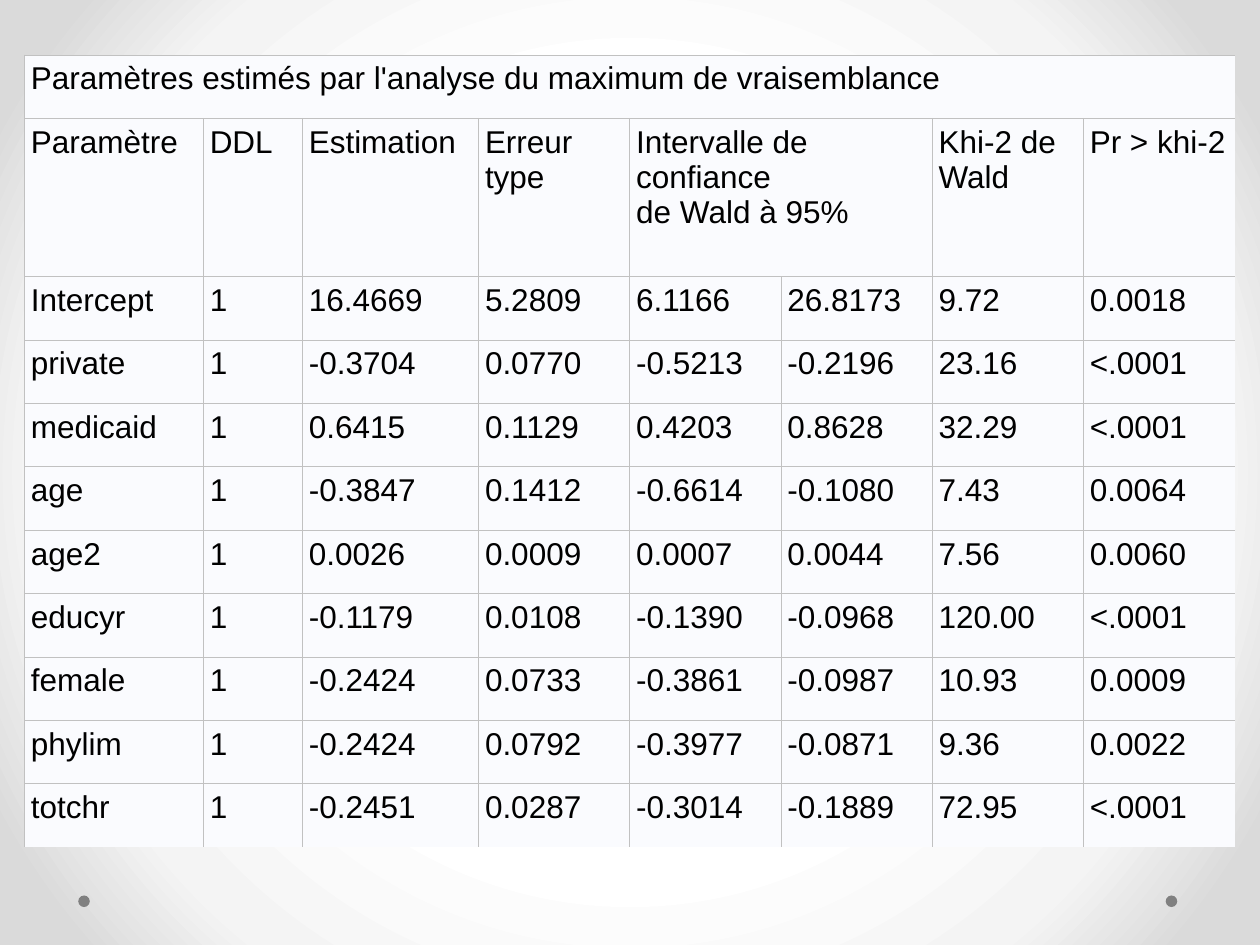
from pptx import Presentation
from pptx.dml.color import RGBColor
from pptx.enum.shapes import MSO_SHAPE
from pptx.oxml import parse_xml
from pptx.oxml.ns import nsdecls, qn
from pptx.util import Pt

COLORS = {
    "text": "000000", "cell": "FAFBFE", "line": "C1C1C1", "dot": "808080",
    "white": "FFFFFF", "pale": "F4F4F4", "edge": "DADADA",
}

TITLE = "Paramètres estimés par l'analyse du maximum de vraisemblance"
HEADS = ["Paramètre", "DDL", "Estimation", "Erreur\ntype",
         "Intervalle de confiance\nde Wald à 95%", "",
         "Khi-2 de Wald", "Pr > khi-2"]
ROWS = [
    ["Intercept", "1", "16.4669", "5.2809", "6.1166", "26.8173", "9.72", "0.0018"],
    ["private", "1", "-0.3704", "0.0770", "-0.5213", "-0.2196", "23.16", "<.0001"],
    ["medicaid", "1", "0.6415", "0.1129", "0.4203", "0.8628", "32.29", "<.0001"],
    ["age", "1", "-0.3847", "0.1412", "-0.6614", "-0.1080", "7.43", "0.0064"],
    ["age2", "1", "0.0026", "0.0009", "0.0007", "0.0044", "7.56", "0.0060"],
    ["educyr", "1", "-0.1179", "0.0108", "-0.1390", "-0.0968", "120.00", "<.0001"],
    ["female", "1", "-0.2424", "0.0733", "-0.3861", "-0.0987", "10.93", "0.0009"],
    ["phylim", "1", "-0.2424", "0.0792", "-0.3977", "-0.0871", "9.36", "0.0022"],
    ["totchr", "1", "-0.2451", "0.0287", "-0.3014", "-0.1889", "72.95", "<.0001"],
]
WIDTHS = [102.2, 56.6, 100.7] + [86.4] * 5
HEIGHTS = [36.25, 90.4] + [36.25] * len(ROWS)


def color(name):
    return RGBColor.from_string(COLORS[name])


def put_text(frame, text, size=18, font="Arial", tint="text"):
    para = frame.paragraphs[0]
    para.text = text
    for run in para.runs:
        run.font.size = Pt(size)
        run.font.name = font
        run.font.color.rgb = color(tint)


def paint_back(slide):
    slide.background.fill.gradient()
    grad = slide.background.fill
    grad = slide.element.find(".//" + qn("a:gradFill"))
    for part in list(grad):
        grad.remove(part)
    stops = "".join(
        f'<a:gs pos="{pos}000"><a:srgbClr val="{COLORS[name]}"/></a:gs>'
        for pos, name in ((50, "white"), (76, "pale"), (92, "edge")))
    grad.append(parse_xml(f'<a:gsLst {nsdecls("a")}>{stops}</a:gsLst>'))
    grad.append(parse_xml(
        f'<a:path {nsdecls("a")} path="circle">'
        '<a:fillToRect l="50000" t="50000" r="50000" b="50000"/></a:path>'))


def add_dots(slide, left, top, width, size):
    for x in (left, left + width - size):
        dot = slide.shapes.add_shape(MSO_SHAPE.OVAL, Pt(x), Pt(top), Pt(size), Pt(size))
        dot.shadow.inherit = False
        dot.fill.solid()
        dot.fill.fore_color.rgb = color("dot")
        dot.line.fill.background()


def set_lines(cell, bare):
    props = cell._tc.get_or_add_tcPr()
    for spot, side in enumerate(("lnL", "lnR", "lnT", "lnB")):
        fill = ("<a:noFill/>" if side in bare else
                f'<a:solidFill><a:srgbClr val="{COLORS["line"]}"/></a:solidFill>')
        props.insert(spot, parse_xml(
            f'<a:{side} {nsdecls("a")} w="{Pt(0.75)}">{fill}</a:{side}>'))


def add_grid(slide, left, top, widths, heights):
    data = [[TITLE] + [""] * (len(widths) - 1), HEADS] + ROWS
    table = slide.shapes.add_table(
        len(data), len(widths), Pt(left), Pt(top),
        Pt(sum(widths)), Pt(sum(heights))).table
    table.first_row = table.horz_banding = False
    for col, width in zip(table.columns, widths):
        col.width = Pt(width)
    for row, height in zip(table.rows, heights):
        row.height = Pt(height)

    # Title spans the table, the interval head spans both bounds
    table.cell(0, 0).merge(table.cell(0, len(widths) - 1))
    table.cell(1, 4).merge(table.cell(1, 5))

    for r, line in enumerate(data):
        for c, text in enumerate(line):
            cell = table.cell(r, c)
            cell.margin_left = cell.margin_right = Pt(3.6)
            cell.margin_top = cell.margin_bottom = Pt(3.6)
            cell.fill.solid()
            cell.fill.fore_color.rgb = color("cell")
            if text:
                put_text(cell.text_frame, text)
            # The right and bottom outer edges stay open
            bare = set()
            if c == len(widths) - 1 or r == 0:
                bare.add("lnR")
            if r == len(data) - 1:
                bare.add("lnB")
            set_lines(cell, bare)


def main():
    deck = Presentation()
    deck.slide_width, deck.slide_height = Pt(720), Pt(540)
    slide = deck.slides.add_slide(deck.slide_layouts[6])
    paint_back(slide)
    add_dots(slide, left=44.7, top=511.7, width=628, size=6.6)
    add_grid(slide, left=14.1, top=31.5, widths=WIDTHS, heights=HEIGHTS)
    deck.save("out.pptx")


if __name__ == "__main__":
    main()
